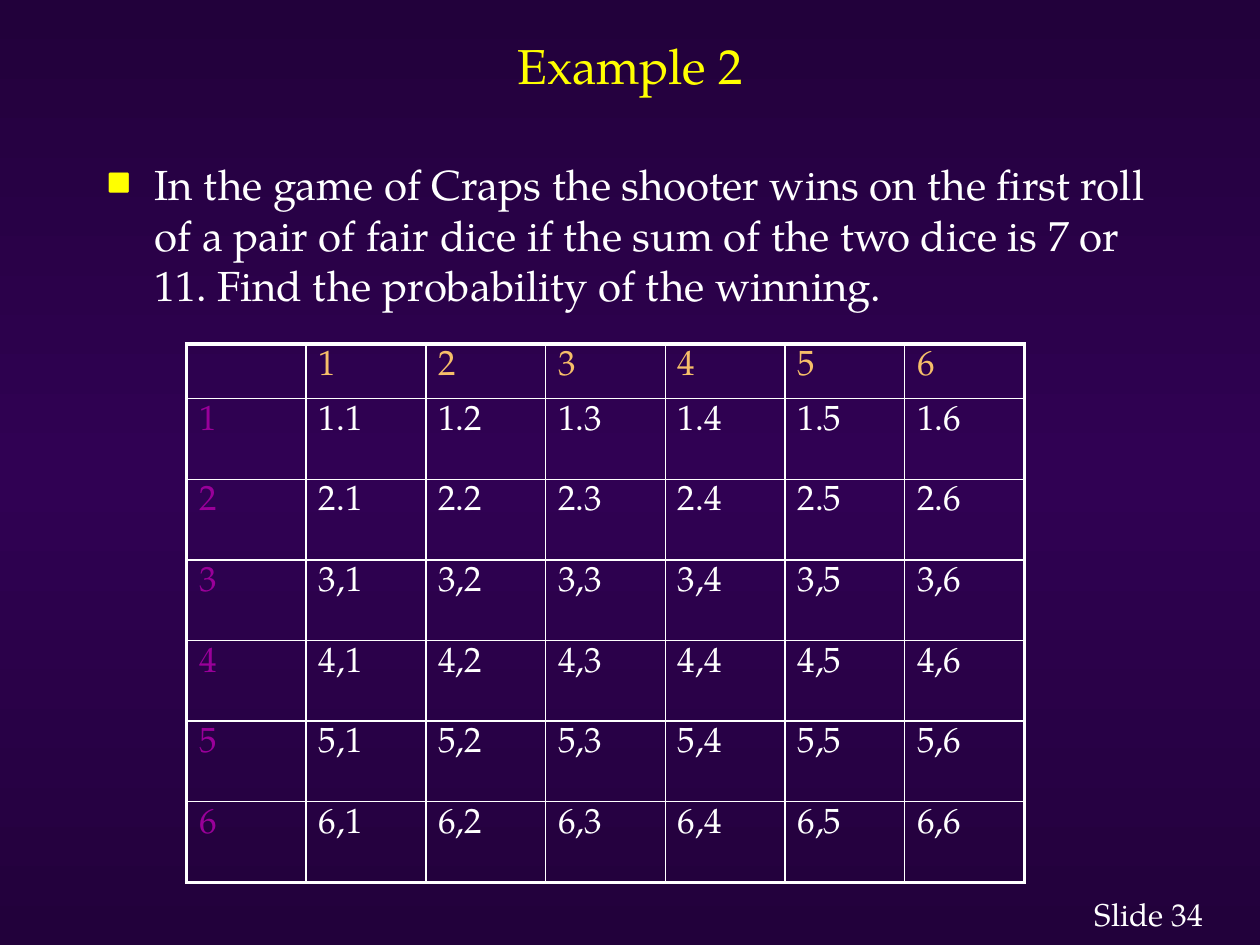
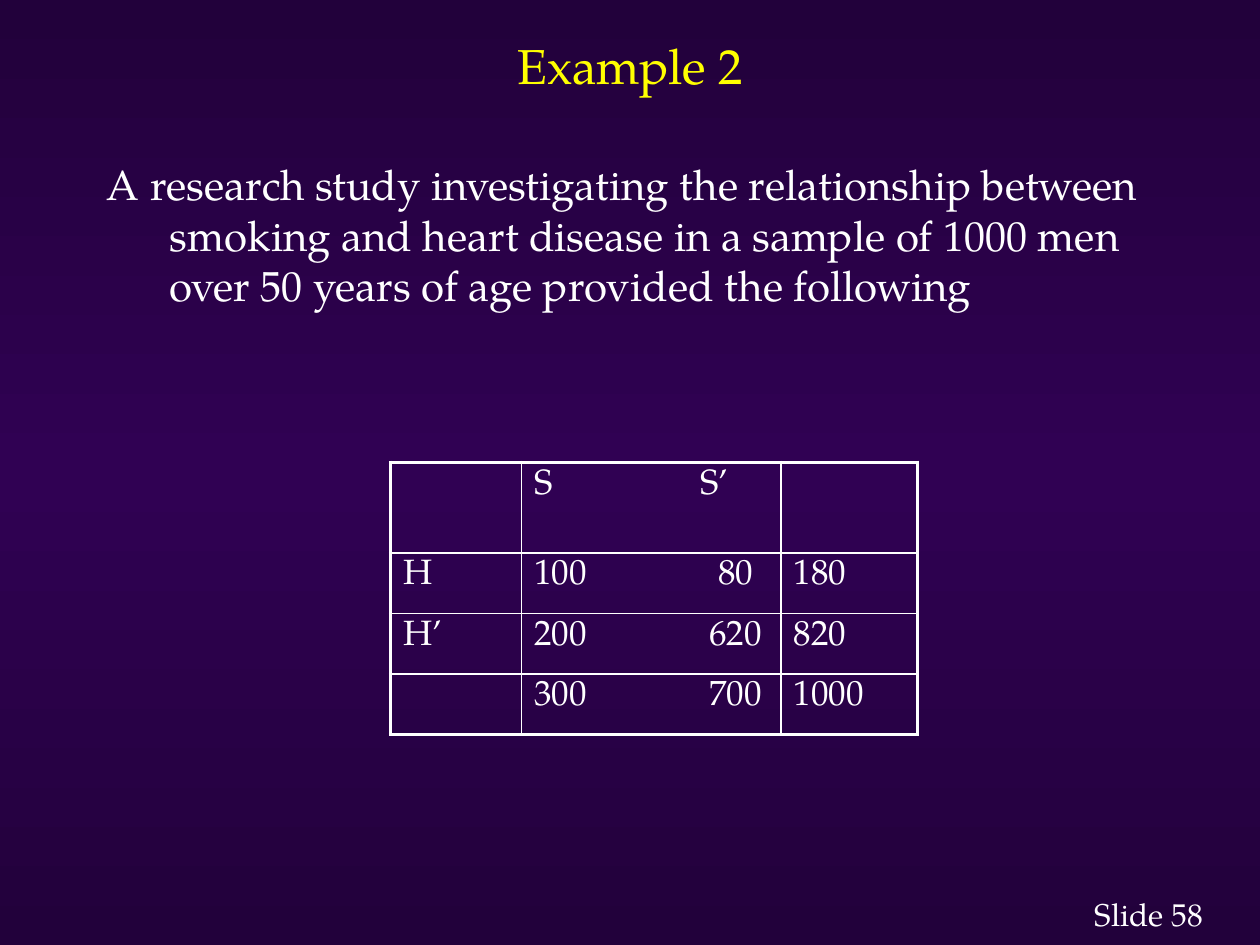
"""Build two probability example slides, each with a question and an outcome table."""

from collections.abc import Sequence
from dataclasses import dataclass, field
from typing import Any

from lxml.etree import SubElement
from pptx import Presentation
from pptx.dml.color import RGBColor
from pptx.enum.text import MSO_ANCHOR as Anchor, PP_ALIGN as Align
from pptx.oxml import parse_xml
from pptx.oxml.ns import nsdecls, qn
from pptx.util import Inches, Pt


@dataclass(frozen=True)
class Theme:
    font: str = "TeX Gyre Pagella"
    edge: str = "22013B"
    middle: str = "300153"
    white: str = "FFFFFF"
    yellow: str = "FFFF00"
    column_head: str = "F6BF69"
    row_head: str = "990099"
    title_size: float = 28
    body_size: float = 24
    cell_size: float = 20
    footer_size: float = 18
    thin: float = 1
    thick: float = 2.25


@dataclass(frozen=True)
class Frame:
    left: float
    top: float
    width: float
    height: float

    def lengths(self) -> list[int]:
        return [Inches(side) for side in (self.left, self.top, self.width, self.height)]


@dataclass(frozen=True)
class Grid:
    left: float
    top: float
    widths: Sequence[float]
    heights: Sequence[float]
    rows: Sequence[Sequence[str]]
    column_head: str
    row_head: str
    tabs: dict[int, float] = field(default_factory=dict)


@dataclass(frozen=True)
class Example:
    number: int
    question: str
    indent: float
    bullet: str
    grid: Grid


THEME = Theme()
TITLE = Frame(0.75, 0.07, 8.5, 0.89)
BODY = Frame(0.75, 1.21, 8.5, 5.08)
FOOTER_WORD = Frame(8.59, 6.75, 0.91, 0.7)
FOOTER_NUMBER = Frame(9.2, 6.75, 0.52, 0.7)
INSETS = {
    "margin_left": Inches(0.1),
    "margin_right": Inches(0.1),
    "margin_top": Inches(0.05),
    "margin_bottom": Inches(0.05),
}


def dice_rows() -> list[list[str]]:
    faces = range(1, 7)
    head = ["", *map(str, faces)]
    return [head] + [
        [str(first)] + [f"{first}{'.' if first < 3 else ','}{second}" for second in faces]
        for first in faces
    ]


EXAMPLES = (
    Example(
        34,
        "In the game of Craps the shooter wins on the first roll of a pair of fair dice "
        "if the sum of the two dice is 7 or 11. Find the probability of the winning.",
        0.38,
        "■",
        Grid(1.48, 2.73, [0.95] * 7, [0.38] + [0.64] * 6, dice_rows(),
             THEME.column_head, THEME.row_head),
    ),
    Example(
        58,
        "A research study investigating the relationship between smoking and heart disease "
        "in a sample of 1000 men over 50 years of age provided the following",
        0.5,
        "",
        Grid(3.1, 3.67, [1.04, 2.06, 1.08], [0.72] + [0.48] * 3,
             [["", "S\tS’", ""], ["H", "100\t80", "180"],
              ["H’", "200\t620", "820"], ["", "300\t700", "1000"]],
             THEME.white, THEME.white, {0: 1.32, 1: 1.46, 2: 1.39, 3: 1.39}),
    ),
)


def assign(target: Any, values: dict[str, Any]) -> None:
    for name, value in values.items():
        setattr(target, name, value)


def write(text_frame: Any, text: str, size: float, color: str, align: Any = Align.LEFT) -> Any:
    para = text_frame.paragraphs[0]
    para.alignment = align
    span = para.add_run()
    span.text = text
    assign(span.font, {"name": THEME.font, "size": Pt(size), "bold": False})
    span.font.color.rgb = RGBColor.from_string(color)
    return para


def add_box(page: Any, frame: Frame, anchor: Any = Anchor.TOP) -> Any:
    text_frame = page.shapes.add_textbox(*frame.lengths()).text_frame
    assign(text_frame, INSETS | {"word_wrap": True, "vertical_anchor": anchor})
    return text_frame


def paint_background(deck: Any) -> None:
    fill = deck.slide_master.background.fill
    fill.gradient()
    fill.gradient_angle = 270
    stops = fill.gradient_stops
    for stop in stops:
        stop.color.rgb = RGBColor.from_string(THEME.edge)
    assign(stops[0], {"position": 0})
    assign(stops[1], {"position": 1})
    middle = parse_xml(
        f'<a:gs {nsdecls("a")} pos="50000"><a:srgbClr val="{THEME.middle}"/></a:gs>'
    )
    stops[0]._gs.addnext(middle)


def add_title(page: Any, text: str) -> None:
    title = page.shapes.title
    assign(title, dict(zip(("left", "top", "width", "height"), TITLE.lengths())))
    assign(title.text_frame, INSETS | {"vertical_anchor": Anchor.MIDDLE})
    write(title.text_frame, text, THEME.title_size, THEME.yellow, Align.CENTER)


def add_question(page: Any, example: Example) -> None:
    para = write(add_box(page, BODY), example.question, THEME.body_size, THEME.white)
    para.space_before = Pt(THEME.body_size * 0.2)
    props = para._p.get_or_add_pPr()
    props.set("marL", str(Inches(example.indent)))
    props.set("indent", str(-Inches(example.indent)))
    if example.bullet:
        color = SubElement(props, qn("a:buClr"))
        SubElement(color, qn("a:srgbClr"), val=THEME.yellow)
        SubElement(props, qn("a:buSzPct"), val="80000")
        SubElement(props, qn("a:buFont"), typeface=THEME.font)
        SubElement(props, qn("a:buChar"), char=example.bullet)


def border_cell(cell: Any, outer: dict[str, bool]) -> None:
    props = cell._tc.get_or_add_tcPr()
    for position, (side, is_outer) in enumerate(outer.items()):
        width = Pt(THEME.thick if is_outer else THEME.thin)
        props.insert(position, parse_xml(
            f'<a:{side} {nsdecls("a")} w="{width}"><a:solidFill>'
            f'<a:srgbClr val="{THEME.white}"/></a:solidFill></a:{side}>'
        ))


def add_tab(para: Any, position: float) -> None:
    tabs = SubElement(para._p.get_or_add_pPr(), qn("a:tabLst"))
    SubElement(tabs, qn("a:tab"), pos=str(Inches(position)), algn="l")


def add_grid(page: Any, grid: Grid) -> None:
    frame = Frame(grid.left, grid.top, sum(grid.widths), sum(grid.heights))
    last_row, last_column = len(grid.heights) - 1, len(grid.widths) - 1
    table = page.shapes.add_table(last_row + 1, last_column + 1, *frame.lengths()).table
    assign(table, {"first_row": False, "horz_banding": False})
    for column, width in zip(table.columns, grid.widths):
        column.width = Inches(width)
    for row, height in zip(table.rows, grid.heights):
        row.height = Inches(height)
    for r, texts in enumerate(grid.rows):
        for c, text in enumerate(texts):
            cell = table.cell(r, c)
            assign(cell, INSETS)
            cell.fill.background()
            border_cell(cell, {"lnL": c == 0, "lnR": c == last_column,
                               "lnT": r == 0, "lnB": r == last_row})
            if not text:
                cell.text_frame.paragraphs[0].font.size = Pt(THEME.footer_size)
                continue
            color = grid.column_head if r == 0 else grid.row_head if c == 0 else THEME.white
            para = write(cell.text_frame, text, THEME.cell_size, color)
            if "\t" in text:
                add_tab(para, grid.tabs[r])


def add_footer(page: Any, number: int) -> None:
    for frame, text in ((FOOTER_WORD, "Slide"), (FOOTER_NUMBER, str(number))):
        write(add_box(page, frame, Anchor.BOTTOM), text, THEME.footer_size, THEME.white)


def main() -> None:
    deck = Presentation()
    assign(deck, {"slide_width": Inches(10), "slide_height": Inches(7.5)})
    paint_background(deck)
    for example in EXAMPLES:
        page = deck.slides.add_slide(deck.slide_layouts.get_by_name("Title Only"))
        add_footer(page, example.number)
        add_title(page, "Example 2")
        add_question(page, example)
        add_grid(page, example.grid)
    deck.save("out.pptx")


if __name__ == "__main__":
    main()
